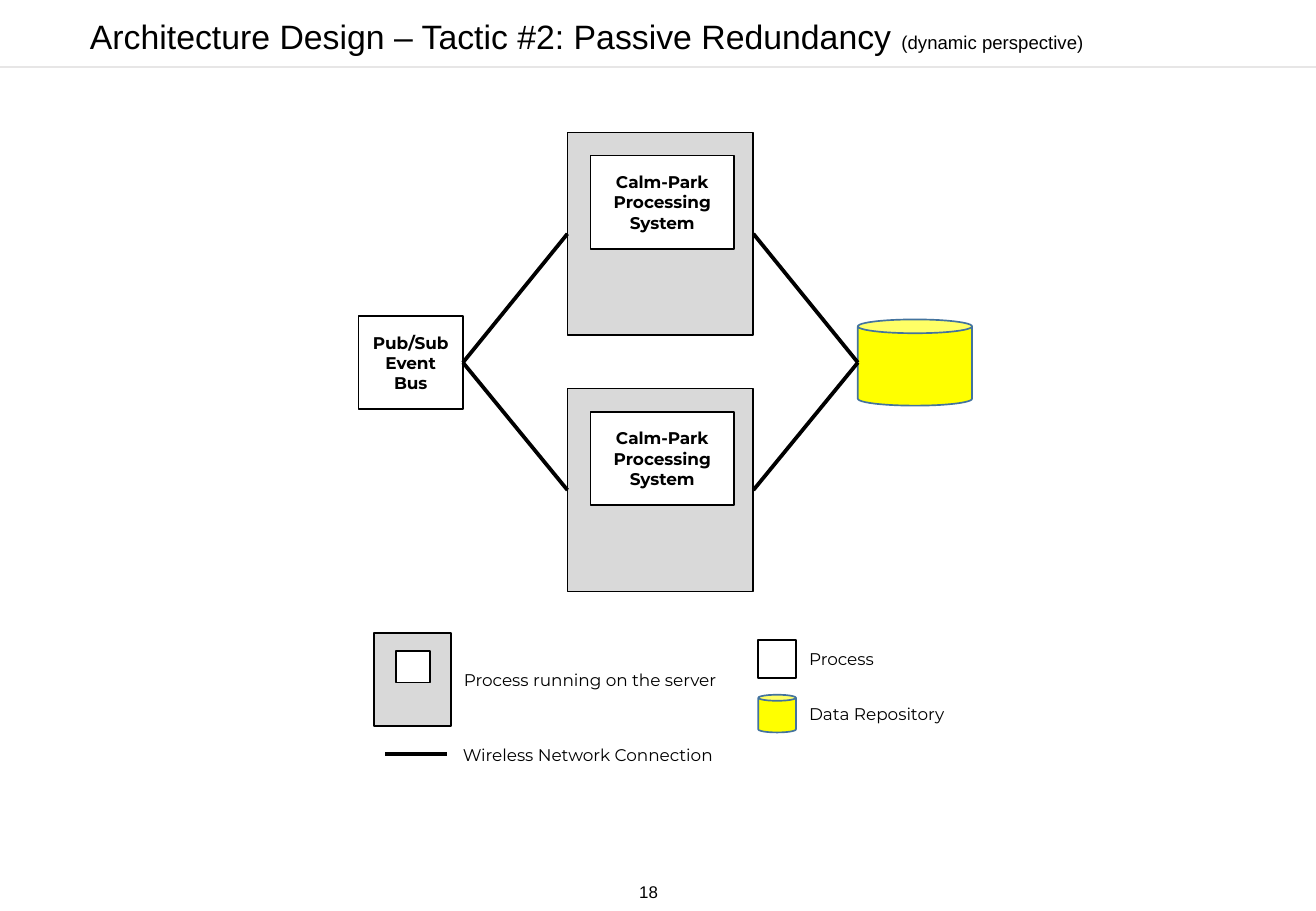
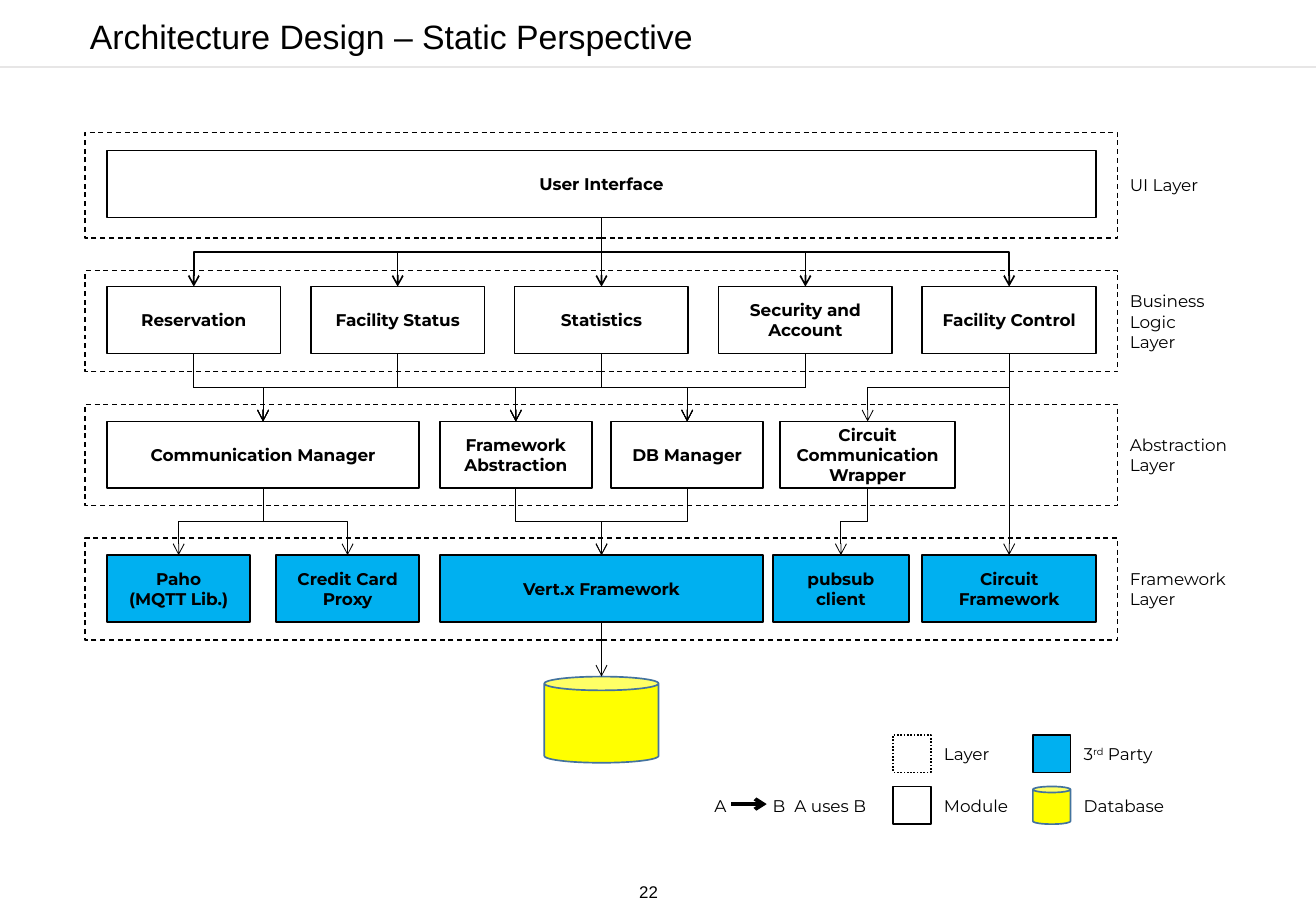
import dataclasses
import itertools

import lxml.etree
import pptx
import pptx.dml.color
import pptx.enum.dml
import pptx.enum.shapes
import pptx.enum.text
import pptx.oxml.ns
import pptx.util

SHAPE = pptx.enum.shapes.MSO_SHAPE
DASH = pptx.enum.dml.MSO_LINE
ALIGN = pptx.enum.text.PP_ALIGN
ANCHOR = pptx.enum.text.MSO_ANCHOR
FIT = pptx.enum.text.MSO_AUTO_SIZE


@dataclasses.dataclass(frozen=True)
class Theme:
    """Colours, fonts, type sizes and line weights of the deck."""
    ink: str = "000000"
    paper: str = "FFFFFF"
    rule: str = "E7E6E6"
    server: str = "D9D9D9"
    third_party: str = "00B0F0"
    store: str = "FFFF00"
    store_edge: str = "43739E"
    heading_font: str = "Arial"
    body_font: str = "Montserrat"
    title_size: int = 20
    note_size: int = 11
    body_size: int = 10
    hairline: float = 0.5
    frame: float = 0.75
    outline: float = 1
    heavy: float = 2.25


@dataclasses.dataclass(frozen=True)
class Box:
    """A rectangle on a grid with ten columns and ten rows to the inch."""
    left: float
    top: float
    width: float
    height: float

    def inner(self, across, down, width, height):
        """Return a box offset from this one's top left corner."""
        return Box(self.left + across, self.top + down, width, height)

    def point(self, across, down):
        """Return the point at the given shares of width and height."""
        return self.left + across * self.width, self.top + down * self.height


THEME = Theme()
PAGE = Box(0, 0, 108.3, 75)
SIGN = 3.1
MODULE_HEIGHT = 5.5


def grid(cells):
    """Convert grid cells to a length."""
    return pptx.util.Inches(cells / 10)


def lengths(box):
    """Convert a box to left, top, width and height."""
    return [grid(cells) for cells in dataclasses.astuple(box)]


def rgb(code):
    """Convert a hex code to a colour."""
    return pptx.dml.color.RGBColor.from_string(code)


def write(shape, text, size=THEME.body_size, font=THEME.body_font, bold=False,
          align=ALIGN.LEFT, anchor=ANCHOR.MIDDLE, wrap=True, margin=None, left_margin=None):
    """Write lines of text, or a list of (text, size, raised) runs, into a shape."""
    frame = shape.text_frame
    frame.word_wrap = wrap
    frame.vertical_anchor = anchor
    if not wrap:
        frame.auto_size = FIT.SHAPE_TO_FIT_TEXT
    if margin is not None:
        frame.margin_left = frame.margin_right = grid(margin)
        frame.margin_top = frame.margin_bottom = grid(margin)
    if left_margin is not None:
        frame.margin_left = grid(left_margin)
    if isinstance(text, str):
        lines = [[(line, size, False)] for line in text.split("\n")]
    else:
        lines = [text]
    for index, runs in enumerate(lines):
        paragraph = frame.add_paragraph() if index else frame.paragraphs[0]
        paragraph.alignment = align
        for words, run_size, raised in runs:
            run = paragraph.add_run()
            run.text = words
            run.font.name = font
            run.font.size = pptx.util.Pt(run_size)
            run.font.bold = bold
            run.font.color.rgb = rgb(THEME.ink)
            if raised:
                run.font._element.set("baseline", "30000")


def label(slide, box, text, **style):
    """Place text without a frame."""
    write(slide.shapes.add_textbox(*lengths(box)), text, **style)


def block(slide, box, text="", fill=None, edge=THEME.ink, weight=THEME.outline,
          dash=None, kind=SHAPE.RECTANGLE):
    """Place an outlined shape with optional bold centred text."""
    shape = slide.shapes.add_shape(kind, *lengths(box))
    shape.shadow.inherit = False
    if fill:
        shape.fill.solid()
        shape.fill.fore_color.rgb = rgb(fill)
    else:
        shape.fill.background()
    shape.line.color.rgb = rgb(edge)
    shape.line.width = pptx.util.Pt(weight)
    if dash:
        shape.line.dash_style = dash
    if text:
        write(shape, text, bold=True, align=ALIGN.CENTER)
    return shape


def repository(slide, box):
    """Place a data store cylinder."""
    can = block(slide, box, fill=THEME.store, edge=THEME.store_edge, kind=SHAPE.CAN)
    can.adjustments[0] = 0.16


def connect(slide, start, end, weight=THEME.hairline, color=THEME.ink, arrow=False, bent=False):
    """Join two points by a straight line, or by one that leaves and arrives vertically."""
    (x1, y1), (x2, y2) = start, end
    run, drop = abs(x2 - x1), y2 - y1
    kinds = pptx.enum.shapes.MSO_CONNECTOR
    bent = bent and run > 0.1
    if bent:
        left, top = (x1 + x2 - drop) / 2, (y1 + y2 - run) / 2
        ends = left, top, left + drop, top + run
    else:
        ends = x1, y1, x2, y2
    link = slide.shapes.add_connector(kinds.ELBOW if bent else kinds.STRAIGHT, *map(grid, ends))
    link.line.color.rgb = rgb(color)
    link.line.width = pptx.util.Pt(weight)
    properties = link.element.spPr
    if bent:
        turn = properties.get_or_add_xfrm()
        turn.set("rot", "5400000" if x2 < x1 else "16200000")
        if x2 > x1:
            turn.set("flipH", "1")
    if arrow:
        tail = lxml.etree.SubElement(properties.get_or_add_ln(), pptx.oxml.ns.qn("a:tailEnd"))
        tail.set("type", "arrow")
    lxml.etree.SubElement(properties, pptx.oxml.ns.qn("a:effectLst"))


def page(deck, title, number):
    """Add a slide with the shared title, rule and page number."""
    slide = deck.slides.add_slide(deck.slide_layouts[6])
    connect(slide, (0, 5.5), (PAGE.width, 5.5), weight=THEME.outline, color=THEME.rule)
    label(slide, Box(1.4, 0.5, 104.7, 5), title, size=THEME.title_size,
          font=THEME.heading_font, left_margin=6)
    label(slide, Box(52.2, 72.2, 2.5, 2.5), number, font=THEME.heading_font, wrap=False, margin=0.4)
    return slide


def caption(slide, sign, text, width):
    """Name a legend sign to its right."""
    across, middle = sign.point(1, 0.5)
    label(slide, Box(across + 0.1, middle - 1.35, width, 2.7), text, wrap=False)


def server(slide, box, process, text=""):
    """Place a server with the process that runs on it."""
    block(slide, box, fill=THEME.server)
    block(slide, process, text, fill=THEME.paper)


def redundancy_diagram(slide, box):
    """Draw two parallel servers between the event bus and the repository."""
    bus = box.inner(0, 15.1, 8.6, 7.7)
    store = box.inner(41.1, 15.4, 9.4, 7.1)
    block(slide, bus, "Pub/Sub\nEvent Bus", fill=THEME.paper)
    repository(slide, store)
    for down in (0, 21.1):
        host = box.inner(17.2, down, 15.3, 16.7)
        server(slide, host, host.inner(1.9, 1.9, 11.8, 7.7), "Calm-Park\nProcessing\nSystem")
        connect(slide, bus.point(1, 0.5), host.point(0, 0.5), weight=THEME.heavy)
        connect(slide, host.point(1, 0.5), store.point(0, 0.5), weight=THEME.heavy)


def redundancy_legend(slide, box):
    """Explain the signs of the redundancy diagram."""
    host = box.inner(0, 0, 6.3, 7.7)
    server(slide, host, host.inner(1.8, 1.5, 2.8, 2.6))
    caption(slide, host, "Process running on the server", 25)
    network = box.inner(0.9, 10, 5.3, 0)
    connect(slide, network.point(0, 0), network.point(0.96, 0), weight=THEME.heavy)
    caption(slide, network, "Wireless Network Connection", 24.8)
    process = box.inner(31.6, 0.6, SIGN, SIGN)
    block(slide, process)
    caption(slide, process, "Process", 8.2)
    store = box.inner(31.6, 5.1, SIGN, SIGN)
    repository(slide, store)
    caption(slide, store, "Data Repository", 14.3)


def layer(slide, box, name, name_size, modules, inset=1.4, fill=None):
    """Draw a layer with its modules and return their boxes by name."""
    block(slide, box, weight=THEME.frame, dash=DASH.DASH)
    width, height = name_size
    middle = box.point(1, 0.5)[1]
    label(slide, Box(box.left + box.width, middle - height / 2, width, height), name, wrap=False)
    places = {}
    for text, across, module_width in modules:
        places[text] = box.inner(across, inset, module_width, MODULE_HEIGHT)
        block(slide, places[text], text, fill=fill)
    return places


def layer_diagram(slide, box):
    """Draw the four layers, the database and the uses relations."""
    indent, column = 1.8, 14.3
    pitch = (81.4 - column) / 4
    services = ["Reservation", "Facility Status", "Statistics", "Security and Account",
                "Facility Control"]
    managers = ["Communication Manager", "Framework Abstraction", "DB Manager"]
    wrapper = "Circuit Communication Wrapper"
    libraries = ["Paho\n(MQTT Lib.)", "Credit Card Proxy"]
    framework, client, board = "Vert.x Framework", "pubsub\nclient", "Circuit Framework"

    places = layer(slide, box.inner(0, 0, box.width, 8.7), "UI Layer", (8.5, 2.7),
                   [("User Interface", indent, 81.4)], inset=1.5)
    places |= layer(slide, box.inner(0, 11.4, box.width, 8.3), "Business\nLogic\nLayer", (8.9, 6.1),
                    [(text, indent + order * pitch, column) for order, text in enumerate(services)],
                    inset=1.3)
    places |= layer(slide, box.inner(0, 22.4, box.width, 8.3), "Abstraction\nLayer", (11, 4.4),
                    list(zip(managers + [wrapper], (indent, 29.2, 43.3, 57.2),
                             (25.7, 12.5, 12.5, 14.4))))
    places |= layer(slide, box.inner(0, 33.4, box.width, 8.4), "Framework\nLayer", (10.7, 4.4),
                    list(zip(libraries + [framework, client, board],
                             (indent, 15.7, 29.2, 56.6, indent + 4 * pitch),
                             (11.8, 11.8, 26.6, 11.2, column))), fill=THEME.third_party)
    places["Database"] = box.inner(37.8, 44.8, 9.4, 7.1)
    repository(slide, places["Database"])

    relations = [
        (["User Interface"], services, THEME.outline),
        (services[:4], managers, THEME.hairline),
        (services[4:], [wrapper, board], THEME.hairline),
        (managers[:1], libraries, THEME.hairline),
        (managers[1:], [framework], THEME.hairline),
        ([wrapper], [client], THEME.hairline),
        ([framework], ["Database"], THEME.hairline),
    ]
    for users, used, weight in relations:
        for user, target in itertools.product(users, used):
            connect(slide, places[user].point(0.5, 1), places[target].point(0.5, 0),
                    weight=weight, arrow=True, bent=True)


def layer_legend(slide, box):
    """Explain the signs of the layer diagram."""
    columns, rows = (15.7, 27.2), (0, 4.25)
    frame, party, module, store = [box.inner(across, down, SIGN, SIGN)
                                   for down, across in itertools.product(rows, columns)]
    block(slide, frame, dash=DASH.ROUND_DOT)
    block(slide, party, fill=THEME.third_party)
    block(slide, module)
    repository(slide, store)
    size = THEME.body_size
    third_party = [("3", size, False), ("rd", size, True), (" Party", size, False)]
    for sign, text, width in ((frame, "Layer", 6.3), (party, third_party, 8.5),
                              (module, "Module", 7.5), (store, "Database", 9.2)):
        caption(slide, sign, text, width)
    for text, across, width, wrap in (("A", 0, 3.1, True), ("B", 4.8, 3.1, True),
                                      ("A uses B", 6.6, 8.7, False)):
        label(slide, box.inner(across, 4.5, width, 2.7), text, wrap=wrap)
    arrow = box.inner(2.4, 5.7, 2.9, 0)
    connect(slide, arrow.point(0, 0), arrow.point(1, 0), weight=THEME.heavy, arrow=True)


def build():
    """Build and save the deck."""
    deck = pptx.Presentation()
    deck.slide_width, deck.slide_height = grid(PAGE.width), grid(PAGE.height)

    tactic = page(deck, [("Architecture Design – Tactic #2: Passive Redundancy ", THEME.title_size, False),
                         ("(dynamic perspective)", THEME.note_size, False)], "18")
    redundancy_diagram(tactic, Box(29.5, 10.9, 50.5, 37.8))
    redundancy_legend(tactic, Box(30.8, 52.1, 49, 11.4))

    static = page(deck, "Architecture Design – Static Perspective", "22")
    layer_diagram(static, Box(7, 10.9, 85, 51.9))
    layer_legend(static, Box(57.8, 60.5, 39.6, 7.4))

    deck.save("out.pptx")


build()
